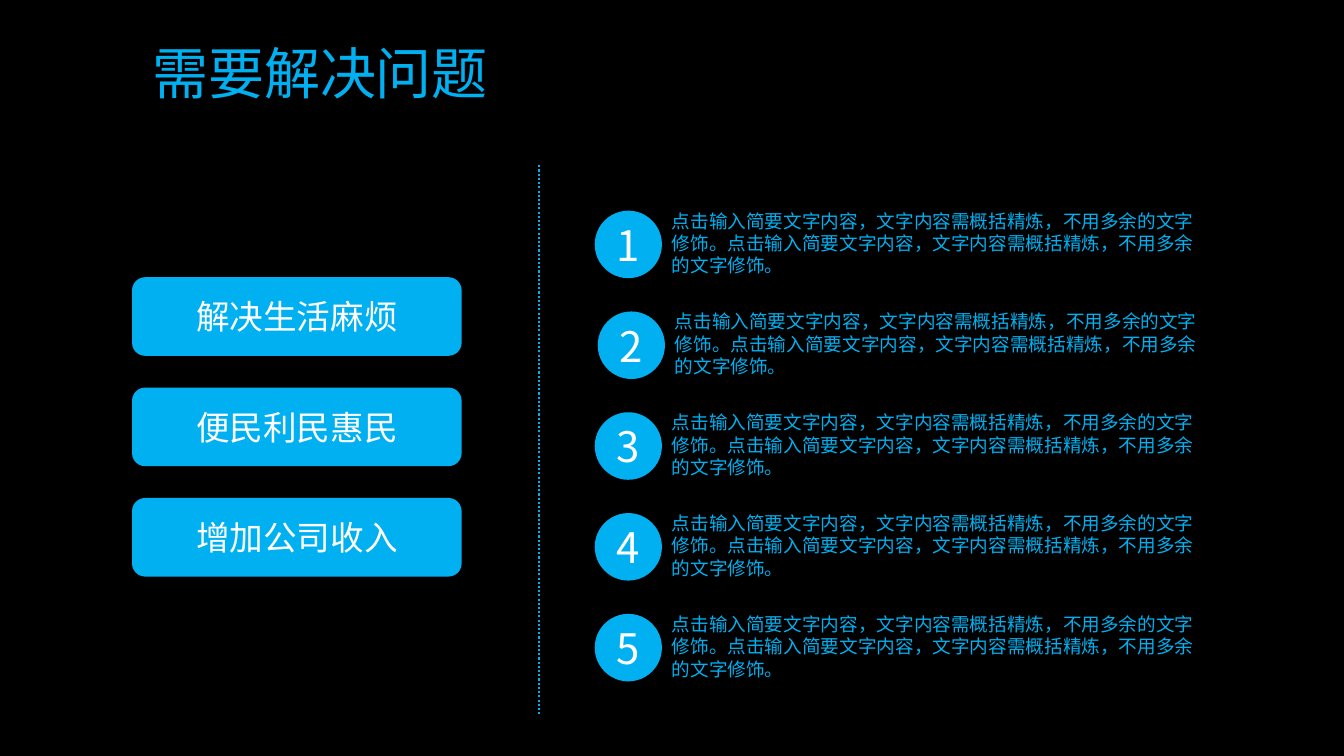
from pptx import Presentation
from pptx.dml.color import RGBColor
from pptx.enum.dml import MSO_LINE
from pptx.enum.shapes import MSO_CONNECTOR, MSO_SHAPE
from pptx.enum.text import MSO_ANCHOR, PP_ALIGN
from pptx.oxml.ns import qn
from pptx.util import Inches, Pt
from lxml import etree

ROUNDED, CIRCLE = MSO_SHAPE.ROUNDED_RECTANGLE, MSO_SHAPE.OVAL
STRAIGHT, DOTTED = MSO_CONNECTOR.STRAIGHT, MSO_LINE.ROUND_DOT
TOP, MIDDLE = MSO_ANCHOR.TOP, MSO_ANCHOR.MIDDLE
LEFT, CENTER = PP_ALIGN.LEFT, PP_ALIGN.CENTER

COLUMNS, ROWS = 40, 30
GOALS = ["解决生活麻烦", "便民利民惠民", "增加公司收入"]
DETAIL = "点击输入简要文字内容，文字内容需概括精炼，不用多余的文字修饰。" * 2


def color(value):
    return RGBColor.from_string(value)


class SlideBuilder:
    font = "Noto Sans CJK SC"
    accent, background, light = "00B0F0", "000000", "FFFFFF"

    def __init__(self, deck):
        self.column = deck.slide_width / COLUMNS
        self.row = deck.slide_height / ROWS
        self.slide = deck.slides.add_slide(deck.slide_layouts[6])
        fill = self.slide.background.fill
        fill.solid()
        fill.fore_color.rgb = color(self.background)

    def place(self, x, y, width, height):
        return (round(x * self.column), round(y * self.row),
                round(width * self.column), round(height * self.row))

    def set_text(self, box, text, size, ink, align, anchor):
        frame = box.text_frame
        frame.word_wrap = True
        frame.vertical_anchor = anchor
        para = frame.paragraphs[0]
        para.text = text
        para.alignment = align
        para.font.size = Pt(size)
        para.font.name = self.font
        para.font.color.rgb = color(ink)

    def shape(self, kind, area, text, size):
        box = self.slide.shapes.add_shape(kind, *self.place(*area))
        box.shadow.inherit = False
        box.fill.solid()
        box.fill.fore_color.rgb = color(self.accent)
        box.line.fill.background()
        self.set_text(box, text, size, self.light, CENTER, MIDDLE)

    def text(self, area, text, size, inset=True):
        box = self.slide.shapes.add_textbox(*self.place(*area))
        if not inset:
            frame = box.text_frame
            frame.margin_left = frame.margin_right = 0
            frame.margin_top = frame.margin_bottom = 0
        self.set_text(box, text, size, self.accent, LEFT, TOP)

    def divider(self, x, top, bottom):
        start_x, start_y, _, length = self.place(x, top, 0, bottom - top)
        line = self.slide.shapes.add_connector(
            STRAIGHT, start_x, start_y, start_x, start_y + length)
        line.line.color.rgb = color(self.accent)
        line.line.width = Pt(1.5)
        line.line.dash_style = DOTTED
        etree.SubElement(line._element.spPr, qn("a:effectLst"))


def main():
    deck = Presentation()
    deck.slide_width, deck.slide_height = Inches(13.33), Inches(7.5)
    page = SlideBuilder(deck)

    # Title and divider
    page.text((4.53, 1.52, 11.49, 2.68), "需要解决问题", 40, inset=False)
    page.divider(16.05, 6.56, 28.4)

    # Goals on the left
    for index, goal in enumerate(GOALS):
        page.shape(ROUNDED, (3.93, 11 + 4.38 * index, 9.81, 3.12), goal, 24)

    # Numbered details on the right; the second sits slightly further in
    for index, shift in enumerate([0, 0.09, 0, 0, 0]):
        down = 4 * index
        page.shape(CIRCLE, (17.7 + shift, 8.36 + down, 2, 2.68), str(index + 1), 30)
        page.text((19.7 + shift, 8.12 + down, 16.62, 3.08), DETAIL, 13.3)

    deck.save("out.pptx")


if __name__ == "__main__":
    main()
